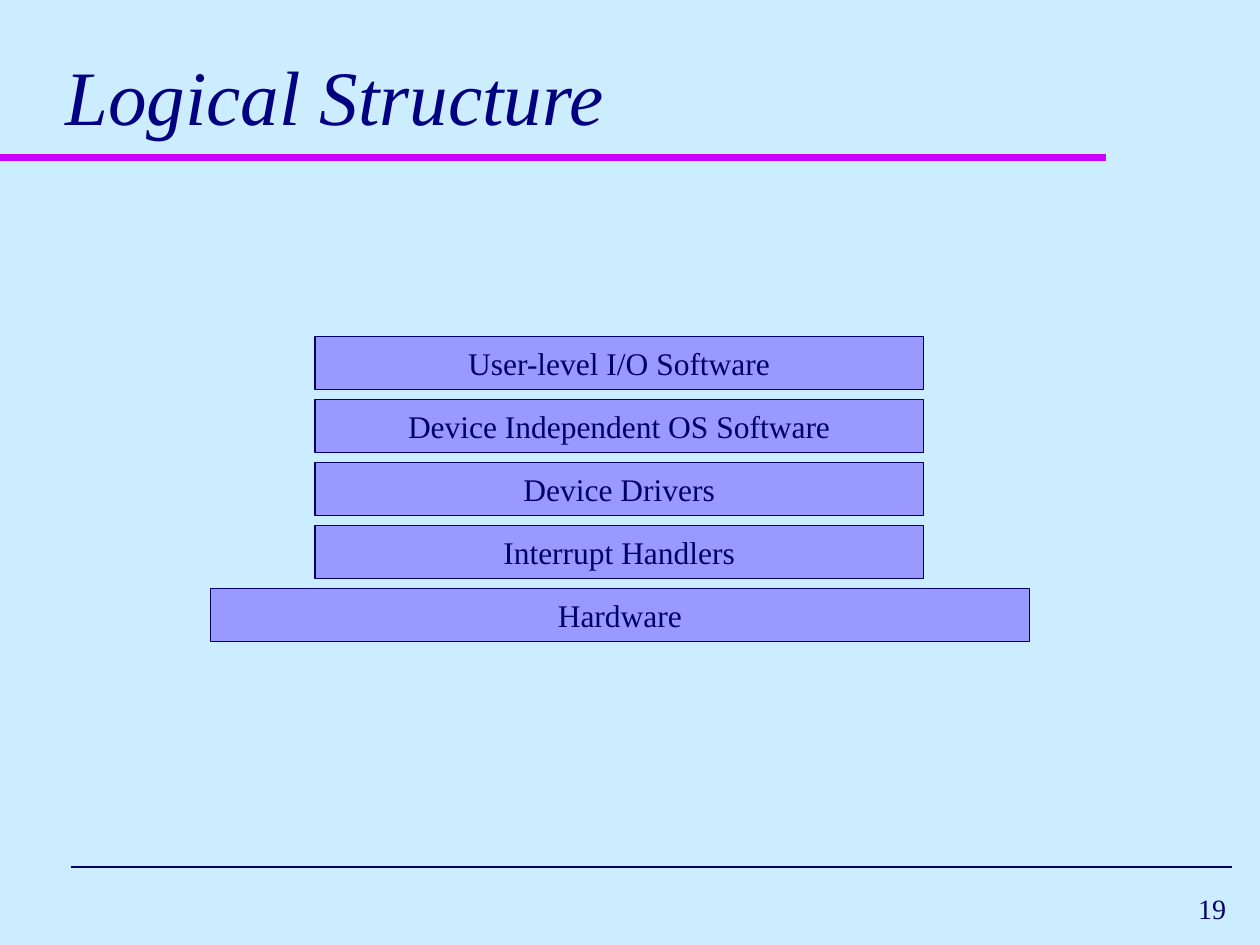
import pptx
import pptx.dml.color
import pptx.enum.shapes
import pptx.enum.text
import pptx.oxml.ns
import pptx.util
from lxml import etree

Inches = pptx.util.Inches
ALIGN = pptx.enum.text.PP_ALIGN
ANCHOR = pptx.enum.text.MSO_ANCHOR


def color(value):
    return pptx.dml.color.RGBColor.from_string(value)


def write(shape, text, size, ink, font, align=ALIGN.LEFT,
          anchor=ANCHOR.MIDDLE, italic=False, wrap=True):
    frame = shape.text_frame
    frame.auto_size = pptx.enum.text.MSO_AUTO_SIZE.NONE
    frame.word_wrap = wrap
    frame.vertical_anchor = anchor
    para = frame.paragraphs[0]
    para.alignment = align
    span = para.add_run()
    span.text = text
    span.font.name = font
    span.font.size = pptx.util.Pt(size)
    span.font.italic = italic
    span.font.color.rgb = color(ink)


class Page:
    """The current slide and its style."""
    font = "Times New Roman"
    background = "CCECFF"
    title_ink = "000080"
    ink = "000066"
    accent = "CC00FF"
    layer_fill = "9999FF"

    def __init__(self, deck):
        self.slide = deck.slides.add_slide(deck.slide_layouts[5])
        fill = self.slide.background.fill
        fill.solid()
        fill.fore_color.rgb = color(self.background)

    def rule(self, left, right, y, ink, width):
        line = self.slide.shapes.add_connector(
            pptx.enum.shapes.MSO_CONNECTOR.STRAIGHT,
            Inches(left), Inches(y), Inches(right), Inches(y))
        line.line.color.rgb = color(ink)
        line.line.width = pptx.util.Pt(width)
        properties = line._element.spPr
        etree.SubElement(properties, pptx.oxml.ns.qn("a:effectLst"))

    def title(self, text):
        box = self.slide.shapes.title
        box.left, box.top = Inches(0.42), Inches(0.17)
        box.width, box.height = Inches(9.25), Inches(1)
        write(box, text, 44, self.title_ink, self.font,
              anchor=ANCHOR.BOTTOM, italic=True)

    def number(self, text):
        box = self.slide.shapes.add_textbox(
            Inches(7.75), Inches(7), Inches(2.08), Inches(0.42))
        write(box, text, 16, self.ink, self.font, align=ALIGN.RIGHT)

    def layer(self, text, left, top, width, height):
        box = self.slide.shapes.add_shape(
            pptx.enum.shapes.MSO_SHAPE.RECTANGLE,
            Inches(left), Inches(top), Inches(width), Inches(height))
        box.shadow.inherit = False
        box.fill.solid()
        box.fill.fore_color.rgb = color(self.layer_fill)
        box.line.color.rgb = color(self.ink)
        box.line.width = pptx.util.Pt(0.75)
        write(box, text, 18, self.ink, self.font,
              align=ALIGN.CENTER, wrap=False)


def main():
    deck = pptx.Presentation()
    deck.slide_width, deck.slide_height = Inches(10), Inches(7.5)
    page = Page(deck)

    # Title, rules and page number
    page.rule(0, 8.78, 1.25, page.accent, 4)
    page.rule(0.56, 9.78, 6.88, page.ink, 1)
    page.title("Logical Structure")
    page.number("19")

    # Software layers stacked on the wider hardware layer
    software = ["User-level I/O Software", "Device Independent OS Software",
                "Device Drivers", "Interrupt Handlers"]
    top, pitch, height = 2.67, 0.5, 0.42
    for row, name in enumerate(software):
        page.layer(name, 2.5, top + row * pitch, 4.83, height)
    page.layer("Hardware", 1.67, top + len(software) * pitch, 6.5, height)

    deck.save("out.pptx")


if __name__ == "__main__":
    main()
